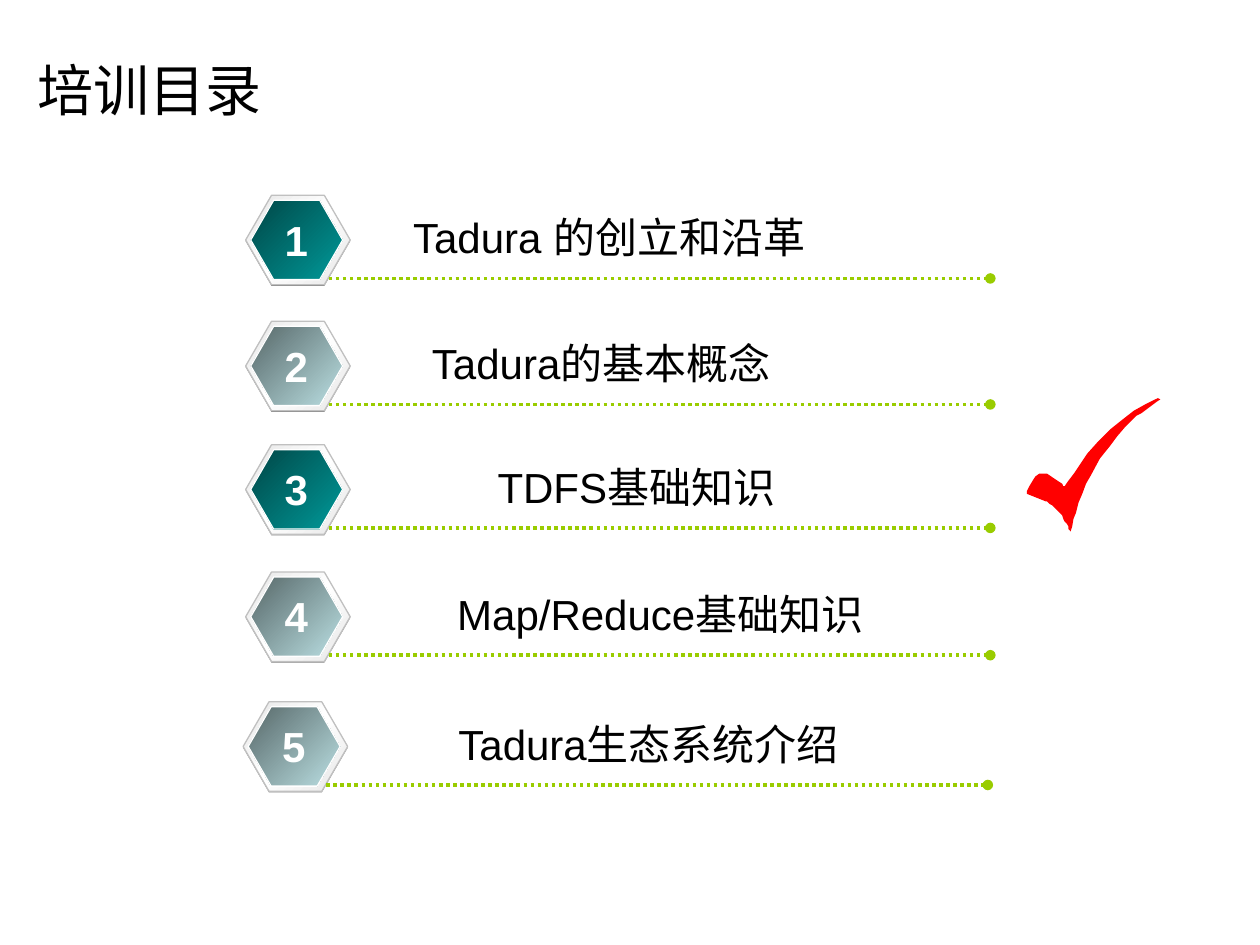
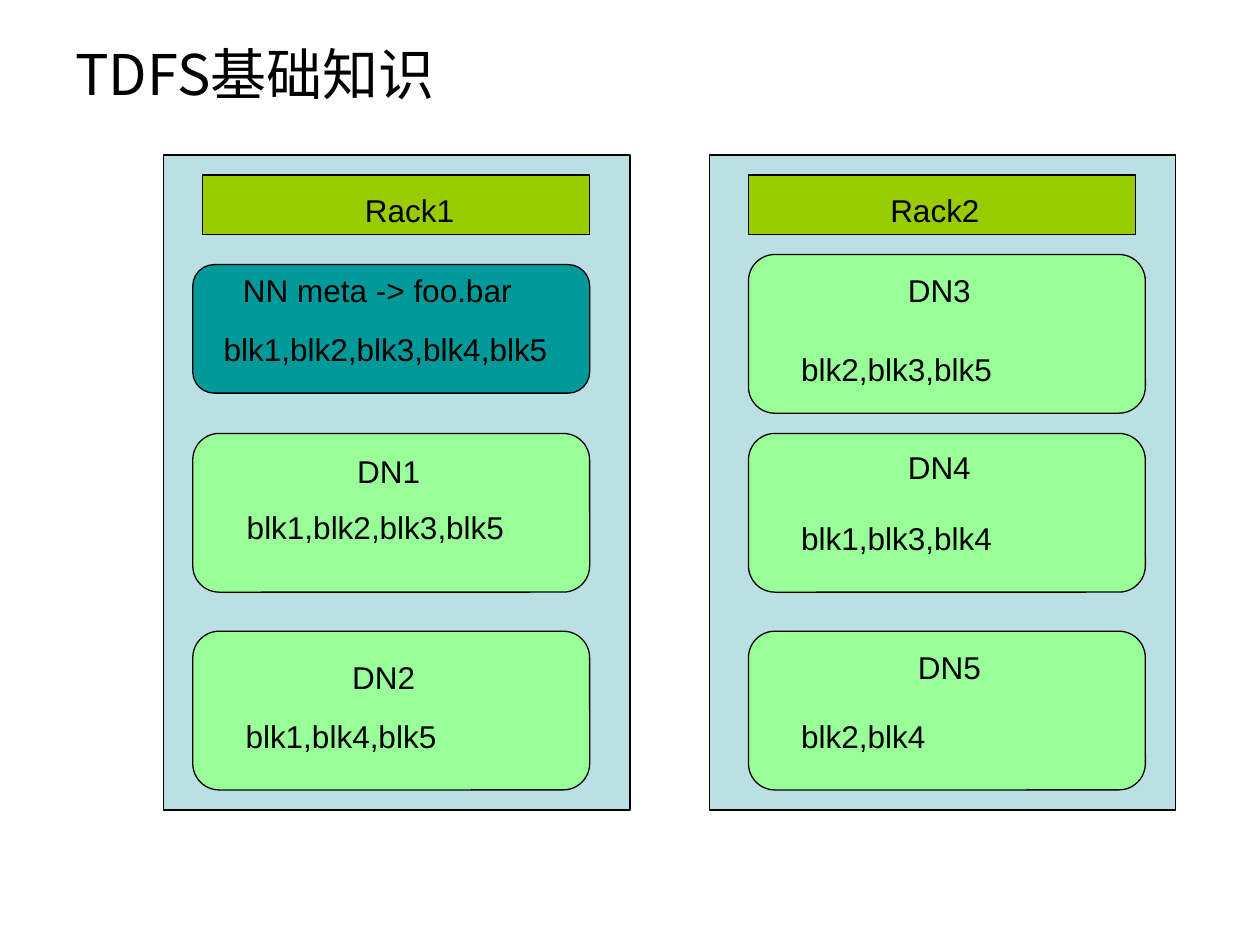
from dataclasses import dataclass
from typing import Any, NamedTuple

from lxml import etree
from pptx import Presentation
from pptx.dml.color import RGBColor
from pptx.enum.shapes import MSO_CONNECTOR, MSO_SHAPE
from pptx.enum.text import MSO_ANCHOR, MSO_AUTO_SIZE, PP_ALIGN
from pptx.oxml.ns import qn
from pptx.util import Pt

PX = 9144  # one px is a hundredth of an inch
HEX, RECT, ROUND = MSO_SHAPE.HEXAGON, MSO_SHAPE.RECTANGLE, MSO_SHAPE.ROUNDED_RECTANGLE
STRAIGHT = MSO_CONNECTOR.STRAIGHT
LEFT, CENTER = PP_ALIGN.LEFT, PP_ALIGN.CENTER
TOP, MIDDLE = MSO_ANCHOR.TOP, MSO_ANCHOR.MIDDLE
FIXED, GROW = MSO_AUTO_SIZE.NONE, MSO_AUTO_SIZE.SHAPE_TO_FIT_TEXT


@dataclass(frozen=True)
class Theme:
    font: str = "Arial"
    asian: str = "Noto Sans CJK SC"
    title: int = 32
    item: int = 24
    label: int = 18
    thin: float = 0.75
    thick: float = 2
    black: str = "000000"
    white: str = "FFFFFF"
    shade: str = "808080"
    edge: str = "C0C0C0"
    rim: tuple[str, ...] = ("E6E6E6", "FFFFFF", "E6E6E6")
    dark: tuple[str, ...] = ("004747", "009999")
    pale: tuple[str, ...] = ("576869", "BBE0E3")
    green: str = "99CC00"
    mint: str = "99FF99"
    teal: str = "009999"
    sky: str = "BBE0E3"
    red: str = "FF0000"


T = Theme()


class Box(NamedTuple):
    x: int
    y: int
    w: int
    h: int

    def emu(self) -> list[int]:
        return [v * PX for v in self]


class Item(NamedTuple):
    x: int
    y: int
    text: str
    left: int
    width: int
    fill: tuple[str, ...]


class Label(NamedTuple):
    text: str
    x: int
    y: int
    w: int
    align: Any = CENTER


class Node(NamedTuple):
    y: int
    h: int
    fill: str
    labels: tuple[Label, Label]


class Rack(NamedTuple):
    x: int
    inset: int
    name: Label
    nodes: tuple[Node, ...]


# Shared drawing tools
def assign(target: Any, values: dict[str, Any]) -> None:
    for key, value in values.items():
        setattr(target, key, value)


def add(parent: Any, tag: str, **values: str) -> Any:
    return etree.SubElement(parent, qn(tag), values)


def paint(shape: Any, fill: str | tuple[str, ...], line: str = "") -> None:
    shape.shadow.inherit = False
    if isinstance(fill, str):
        shape.fill.solid()
        shape.fill.fore_color.rgb = RGBColor.from_string(fill)
    else:
        shape.fill.gradient()
        shape.fill.gradient_angle = 315
        stops = shape.element.spPr.find(".//" + qn("a:gsLst"))
        for stop in list(stops):
            stops.remove(stop)
        for i, tone in enumerate(fill):
            stop = add(stops, "a:gs", pos=str(100000 * i // (len(fill) - 1)))
            add(stop, "a:srgbClr", val=tone)
    if line:
        shape.line.color.rgb = RGBColor.from_string(line)
        shape.line.width = Pt(T.thin)
    else:
        shape.line.fill.background()


def draw(shapes: Any, kind: Any, box: Box, fill: str | tuple[str, ...],
         line: str = "") -> None:
    shape = shapes.add_shape(kind, *box.emu())
    if kind == HEX:
        shape.adjustments[0] = 0.289
    paint(shape, fill, line)


def write(shapes: Any, box: Box, text: str, size: int, color: str = T.black,
          font: str = T.font, bold: bool = False, align: Any = LEFT,
          **frame: Any) -> None:
    body = shapes.add_textbox(*box.emu()).text_frame
    base = {"word_wrap": True, "auto_size": GROW, "vertical_anchor": TOP}
    assign(body, base | frame)
    para = body.paragraphs[0]
    para.alignment = align
    run = para.add_run()
    run.text = text
    assign(run.font, {"size": Pt(size), "name": font, "bold": bold})
    run.font.color.rgb = RGBColor.from_string(color)
    add(run.font._element, "a:ea", typeface=T.asian)


def head(slide: Any, box: Box, text: str, font: str = T.font) -> None:
    write(slide.shapes, box, text, T.title, font=font,
          auto_size=FIXED, vertical_anchor=MIDDLE)


# Agenda slide
ITEMS = (
    Item(195, 155, "Tadura 的创立和沿革", 318, 365, T.dark),
    Item(195, 255, "Tadura的基本概念", 333, 325, T.pale),
    Item(195, 353, "TDFS基础知识", 385, 265, T.dark),
    Item(195, 454, "Map/Reduce基础知识", 353, 365, T.pale),
    Item(193, 557, "Tadura生态系统介绍", 354, 360, T.pale),
)

TICK = (
    (830, 398), (831, 398), (832, 399), (833, 400), (835, 401), (837, 403),
    (839, 405), (841, 407), (843, 409), (844, 412), (845, 414), (847, 416),
    (848, 418), (848, 420), (849, 421), (850, 422), (850, 421), (851, 418),
    (852, 412), (854, 407), (856, 399), (859, 392), (862, 384), (866, 377),
    (873, 364), (881, 354), (887, 346), (893, 339), (898, 334), (902, 330),
    (906, 328), (910, 325), (914, 322), (918, 319), (921, 317), (919, 316),
    (915, 318), (909, 321), (900, 326), (891, 333), (881, 341), (872, 350),
    (863, 360), (859, 366), (853, 375), (847, 383), (845, 386), (844, 386),
    (843, 384), (840, 382), (837, 380), (834, 378), (831, 376), (828, 376),
    (825, 376), (822, 378), (820, 381), (817, 386), (815, 390), (815, 392),
)


def rule(shapes: Any, x: int, y: int, width: int) -> None:
    line = shapes.add_connector(STRAIGHT, x * PX, y * PX, (x + width) * PX, y * PX)
    line.line.color.rgb = RGBColor.from_string(T.green)
    line.line.width = Pt(T.thick)
    stroke = line.line._get_or_add_ln()
    add(stroke, "a:prstDash", val="sysDot")
    add(stroke, "a:tailEnd", type="oval")
    add(line._element.spPr, "a:effectLst")


def row(slide: Any, num: int, item: Item) -> None:
    shapes = slide.shapes.add_group_shape().shapes
    x, y = item.x, item.y
    draw(shapes, HEX, Box(x, y + 1, 83, 71), T.shade)
    draw(shapes, HEX, Box(x, y, 83, 71), T.rim, T.edge)
    draw(shapes, HEX, Box(x + 4, y + 4, 73, 63), item.fill, T.white)
    rule(shapes, x + 66, y + 66, 525)
    write(shapes, Box(item.left, y + 8, item.width, 50), item.text, T.item,
          word_wrap=False)
    write(shapes, Box(x + 21, y + 10, 38, 50), str(num), T.item, T.white,
          bold=True, align=CENTER, word_wrap=False)


def agenda(slide: Any) -> None:
    head(slide, Box(20, 44, 958, 53), "培训目录")
    for num, item in enumerate(ITEMS, 1):
        row(slide, num, item)
    pen = slide.shapes.build_freeform(*TICK[0], scale=PX)
    pen.add_line_segments(TICK[1:], close=True)
    paint(pen.convert_to_shape(), T.red)


# Rack slide
RACKS = (
    Rack(130, 23, Label("Rack1", 256, 147, 138), (
        Node(210, 102, T.teal, (
            Label("NN meta -> foo.bar", 146, 210, 307),
            Label("blk1,blk2,blk3,blk4,blk5", 153, 257, 306))),
        Node(344, 126, T.mint, (
            Label("DN1", 220, 354, 177),
            Label("blk1,blk2,blk3,blk5", 186, 398, 259, LEFT))),
        Node(501, 126, T.mint, (
            Label("DN2", 216, 517, 177),
            Label("blk1,blk4,blk5", 185, 564, 259, LEFT))),
    )),
    Rack(563, 31, Label("Rack2", 673, 147, 138), (
        Node(202, 126, T.mint, (
            Label("DN3", 657, 210, 177),
            Label("blk2,blk3,blk5", 626, 273, 259, LEFT))),
        Node(344, 126, T.mint, (
            Label("DN4", 657, 351, 177),
            Label("blk1,blk3,blk4", 626, 407, 259, LEFT))),
        Node(501, 126, T.mint, (
            Label("DN5", 665, 509, 177),
            Label("blk2,blk4", 626, 564, 259, LEFT))),
    )),
)


def tag(slide: Any, label: Label) -> None:
    write(slide.shapes, Box(label.x, label.y, label.w, 40), label.text, T.label,
          align=label.align)


def racks(slide: Any) -> None:
    head(slide, Box(50, 30, 900, 56), "TDFS基础知识", T.asian)
    for rack in RACKS:
        draw(slide.shapes, RECT, Box(rack.x, 123, 370, 520), T.sky, T.black)
        draw(slide.shapes, RECT, Box(rack.x + 31, 139, 307, 47), T.green, T.black)
        tag(slide, rack.name)
        for node in rack.nodes:
            box = Box(rack.x + rack.inset, node.y, 315, node.h)
            draw(slide.shapes, ROUND, box, node.fill, T.black)
            for label in node.labels:
                tag(slide, label)


def main() -> None:
    deck = Presentation()
    assign(deck, {"slide_width": 1000 * PX, "slide_height": 750 * PX})
    blank = deck.slide_layouts[6]
    for build in (agenda, racks):
        build(deck.slides.add_slide(blank))
    deck.save("out.pptx")


if __name__ == "__main__":
    main()
